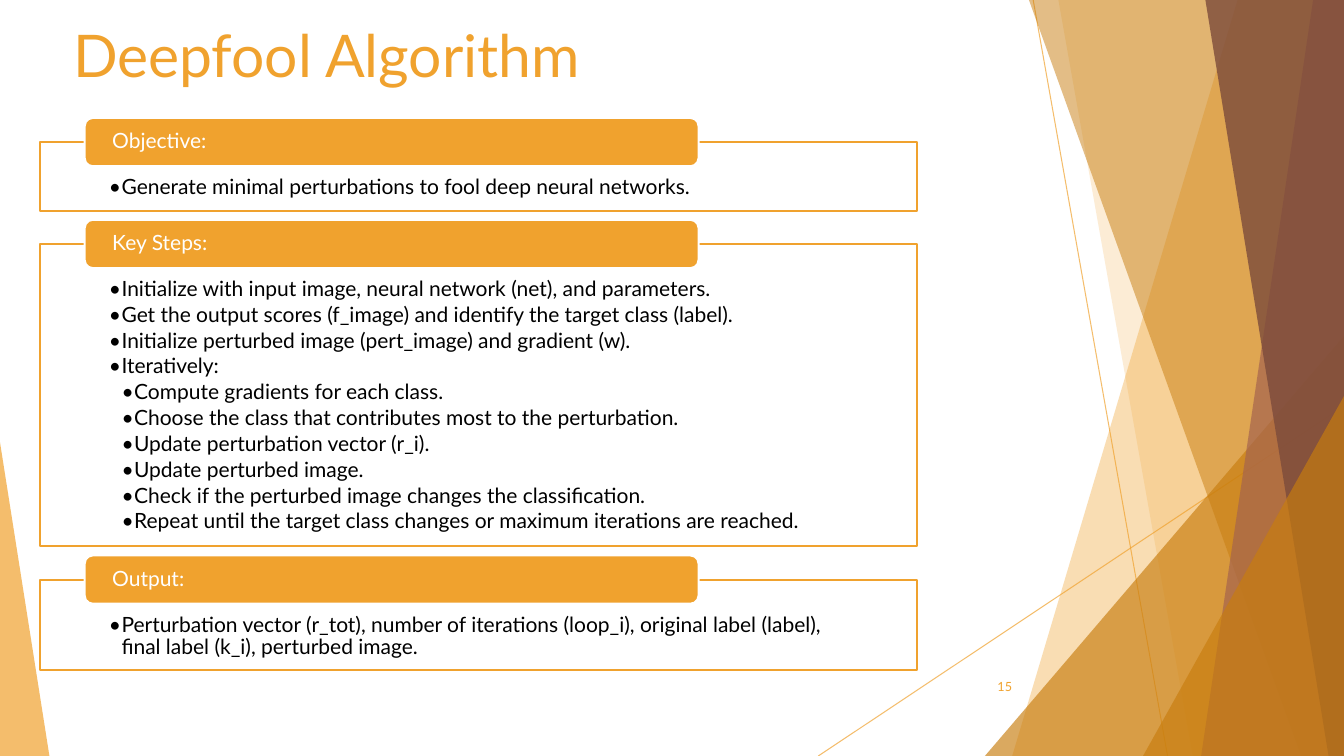
from lxml.etree import SubElement
from pptx import Presentation
from pptx.dml.color import RGBColor
from pptx.enum.shapes import MSO_CONNECTOR, MSO_SHAPE
from pptx.enum.text import MSO_ANCHOR, MSO_AUTO_SIZE, PP_ALIGN
from pptx.oxml.ns import qn
from pptx.util import Pt

WIDTH, HEIGHT = 960, 540
AMBER, DARK_AMBER = "F0A22E", "C87D0E"
RUST, BROWN = "A5644E", "7C4B3B"
WHITE, BLACK = "FFFFFF", "000000"

PANEL_LEFT, PANEL_WIDTH = 28.8, 626.4
FIRST_PANEL_TOP, PANEL_GAP = 101.5, 23.75
TAB_LEFT, TAB_WIDTH, TAB_HEIGHT = 60.5, 438.5, 34.5

# Heading, panel height, list items as (level, wording)
SECTIONS = [
    ("Objective:", 49, [
        (1, "Generate minimal perturbations to fool deep neural networks."),
    ]),
    ("Key Steps:", 216, [
        (1, "Initialize with input image, neural network (net), and parameters."),
        (1, "Get the output scores (f_image) and identify the target class (label)."),
        (1, "Initialize perturbed image (pert_image) and gradient (w)."),
        (1, "Iteratively:"),
        (2, "Compute gradients for each class."),
        (2, "Choose the class that contributes most to the perturbation."),
        (2, "Update perturbation vector (r_i)."),
        (2, "Update perturbed image."),
        (2, "Check if the perturbed image changes the classification."),
        (2, "Repeat until the target class changes or maximum iterations are reached."),
    ]),
    ("Output:", 64.8, [
        (1, "Perturbation vector (r_tot), number of iterations (loop_i), "
            "original label (label), final label (k_i), perturbed image."),
    ]),
]


def rgb(color):
    return RGBColor.from_string(color)


def set_alpha(fill_parent, percent):
    """Make the solid colour inside fill_parent partly transparent."""
    color = fill_parent.find(qn("a:solidFill"))[0]
    SubElement(color, qn("a:alpha"), val=str(percent * 1000))


class SlideBuilder:
    """Draws on one slide in one font; all lengths are points."""

    font = "Lato"

    def __init__(self, slide):
        self.slide = slide
        self.shapes = slide.shapes

    def place(self, shape, left, top, width, height):
        shape.left, shape.top = Pt(left), Pt(top)
        shape.width, shape.height = Pt(width), Pt(height)

    def paint(self, shape, color, alpha=100, line=None):
        shape.fill.solid()
        shape.fill.fore_color.rgb = rgb(color)
        if alpha < 100:
            set_alpha(shape.fill._xPr, alpha)
        if line:
            shape.line.color.rgb = rgb(line)
            shape.line.width = Pt(1.5)
        else:
            shape.line.fill.background()

    def frame(self, shape, anchor, insets):
        """Set wrapping, anchor and insets (left, top, right, bottom)."""
        text = shape.text_frame
        text.word_wrap = True
        text.auto_size = MSO_AUTO_SIZE.NONE
        text.vertical_anchor = anchor
        (text.margin_left, text.margin_top,
         text.margin_right, text.margin_bottom) = map(Pt, insets)
        return text

    def format(self, paragraph, size, color, align=PP_ALIGN.LEFT):
        paragraph.alignment = align
        paragraph.space_before = Pt(0)
        for run in paragraph.runs:
            run.font.name = self.font
            run.font.size = Pt(size)
            run.font.bold = False
            run.font.color.rgb = rgb(color)

    def title(self, wording):
        heading = self.shapes.title
        self.place(heading, 45, 10, 413, 103)
        text = self.frame(heading, MSO_ANCHOR.TOP, (7.2, 3.6, 7.2, 3.6))
        text.text = wording
        self.format(text.paragraphs[0], 42, AMBER)

    def ray(self, start, end):
        ray = self.shapes.add_connector(
            MSO_CONNECTOR.STRAIGHT, *map(Pt, start + end))
        ray.line.color.rgb = rgb(AMBER)
        ray.line.width = Pt(0.75)
        set_alpha(ray.line._ln, 70)
        SubElement(ray._element.spPr, qn("a:effectLst"))

    def facet(self, top_x, bottom_x, color, alpha):
        """Fill from a slanted left edge to the right side of the slide."""
        outline = self.shapes.build_freeform(Pt(top_x), 0)
        corners = [(WIDTH, 0), (WIDTH, HEIGHT), (bottom_x, HEIGHT)]
        outline.add_line_segments([(Pt(x), Pt(y)) for x, y in corners])
        facet = outline.convert_to_shape()
        facet.shadow.inherit = False
        self.paint(facet, color, alpha)

    def corner(self, left, top, width, apex, color, alpha):
        """Draw a right triangle standing on the slide's bottom edge."""
        corner = self.shapes.add_shape(
            MSO_SHAPE.ISOSCELES_TRIANGLE,
            Pt(left), Pt(top), Pt(width), Pt(HEIGHT - top))
        corner.adjustments[0] = apex
        corner.shadow.inherit = False
        self.paint(corner, color, alpha)

    def panel(self, body, top, height, items):
        self.place(body, PANEL_LEFT, top, PANEL_WIDTH, height)
        self.paint(body, WHITE, 90, AMBER)
        text = self.frame(body, MSO_ANCHOR.TOP, (49, 24.5, 49, 8.6))
        text.text = "\n".join(wording for _, wording in items)
        for paragraph, (level, _) in zip(text.paragraphs, items):
            paragraph.level = level
            properties = paragraph._p.get_or_add_pPr()
            properties.set("marL", str(Pt(9 * level)))
            properties.set("indent", str(Pt(-9)))
            SubElement(properties, qn("a:buFont"), typeface=self.font)
            SubElement(properties, qn("a:buChar"), char="•")
            paragraph.line_spacing = 0.9
            paragraph.space_after = Pt(2.25)
            self.format(paragraph, 15, BLACK)

    def tab(self, panel_top, wording):
        """Centre a heading tab on the top edge of its panel."""
        tab = self.shapes.add_shape(
            MSO_SHAPE.ROUNDED_RECTANGLE, Pt(TAB_LEFT),
            Pt(panel_top - TAB_HEIGHT / 2), Pt(TAB_WIDTH), Pt(TAB_HEIGHT))
        tab.shadow.inherit = False
        self.paint(tab, AMBER, line=WHITE)
        text = self.frame(tab, MSO_ANCHOR.MIDDLE, (18, 0, 18, 0))
        text.text = wording
        text.paragraphs[0].line_spacing = 0.9
        self.format(text.paragraphs[0], 15, WHITE)

    def page_number(self, number):
        box = self.shapes.add_textbox(Pt(676), Pt(476), Pt(54), Pt(28.8))
        text = self.frame(box, MSO_ANCHOR.MIDDLE, (7.2, 3.6, 7.2, 3.6))
        text.text = number
        self.format(text.paragraphs[0], 9, AMBER, PP_ALIGN.RIGHT)


def main():
    deck = Presentation()
    deck.slide_width, deck.slide_height = Pt(WIDTH), Pt(HEIGHT)
    comparison_layout = deck.slide_layouts[4]
    slide = deck.slides.add_slide(comparison_layout)
    _, *bodies, spare = slide.placeholders
    spare._element.getparent().remove(spare._element)
    builder = SlideBuilder(slide)

    builder.ray((738, 0), (834, HEIGHT))
    builder.ray((WIDTH, 290), (584.5, HEIGHT))
    builder.facet(884, 723, AMBER, 36)
    builder.facet(756, 852, AMBER, 20)
    builder.corner(703.5, 240, 256.5, 1, DARK_AMBER, 66)
    builder.facet(735, 929.5, DARK_AMBER, 50)
    builder.facet(938, 858, RUST, 70)
    builder.facet(861, 949, BROWN, 80)
    builder.corner(816.5, 283, 143.5, 1, DARK_AMBER, 66)
    builder.corner(0, 316, 35.3, 0, AMBER, 70)

    builder.title("Deepfool Algorithm")
    builder.page_number("15")
    top = FIRST_PANEL_TOP
    for body, (heading, height, items) in zip(bodies, SECTIONS):
        builder.panel(body, top, height, items)
        builder.tab(top, heading)
        top += height + PANEL_GAP

    deck.save("out.pptx")


if __name__ == "__main__":
    main()
